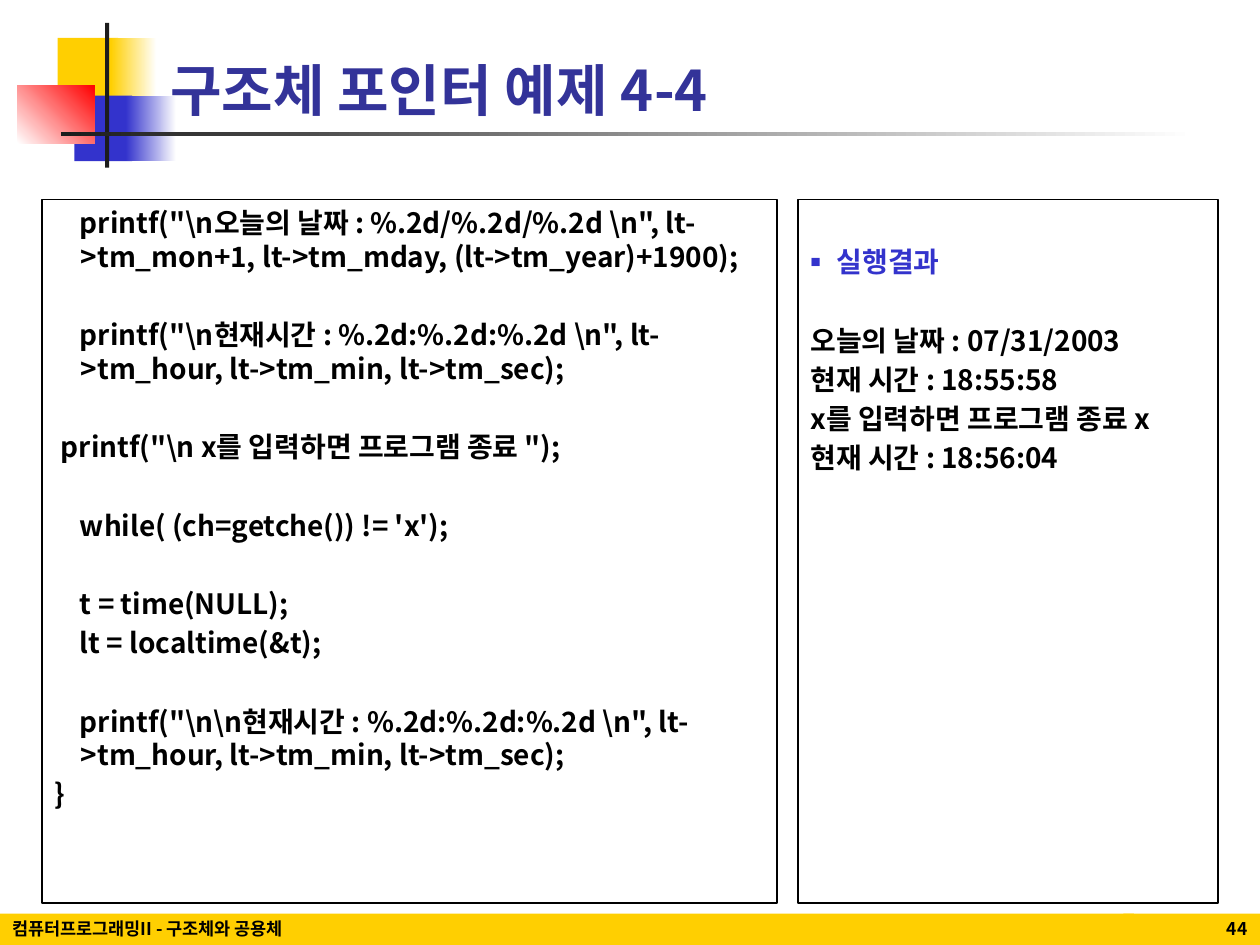
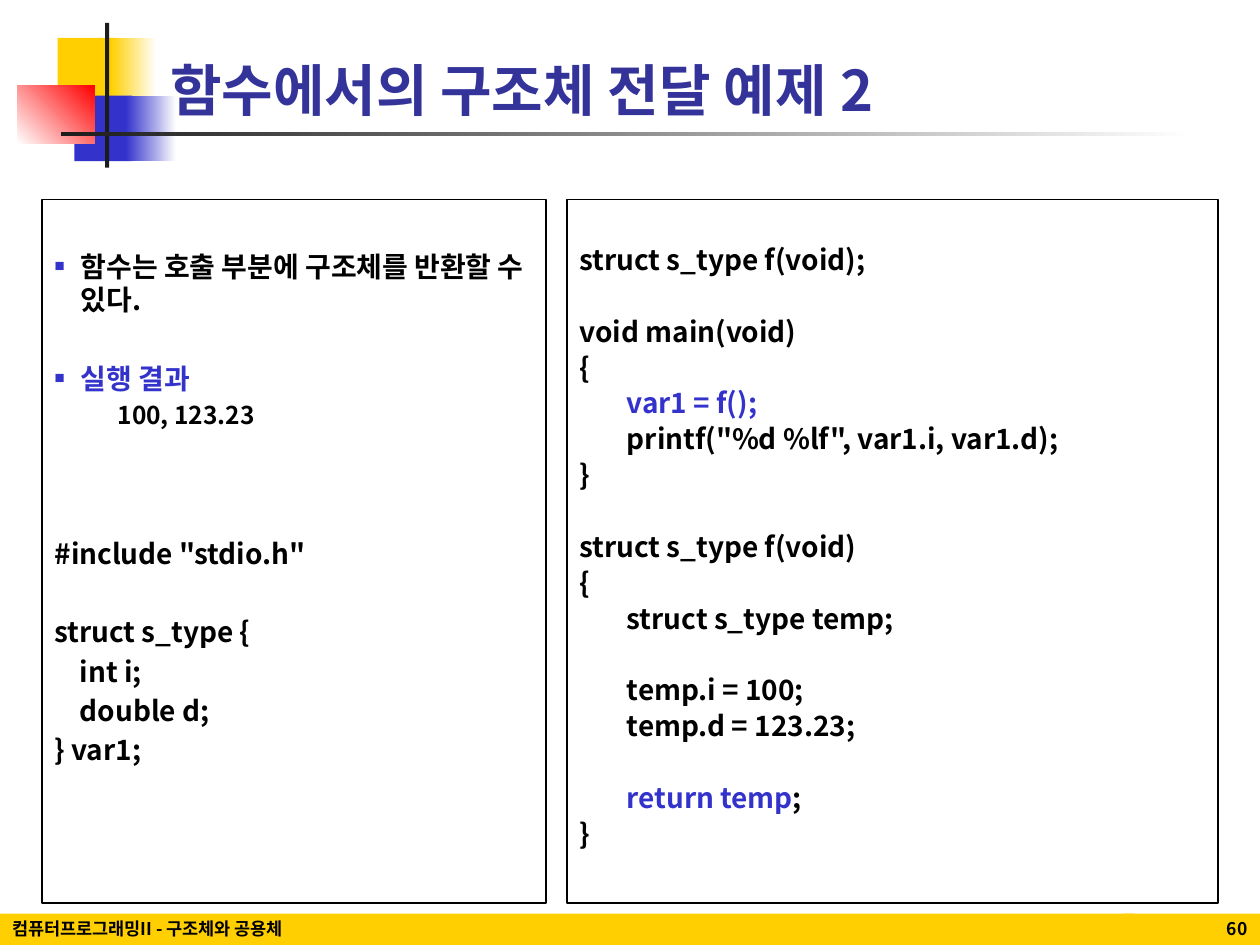
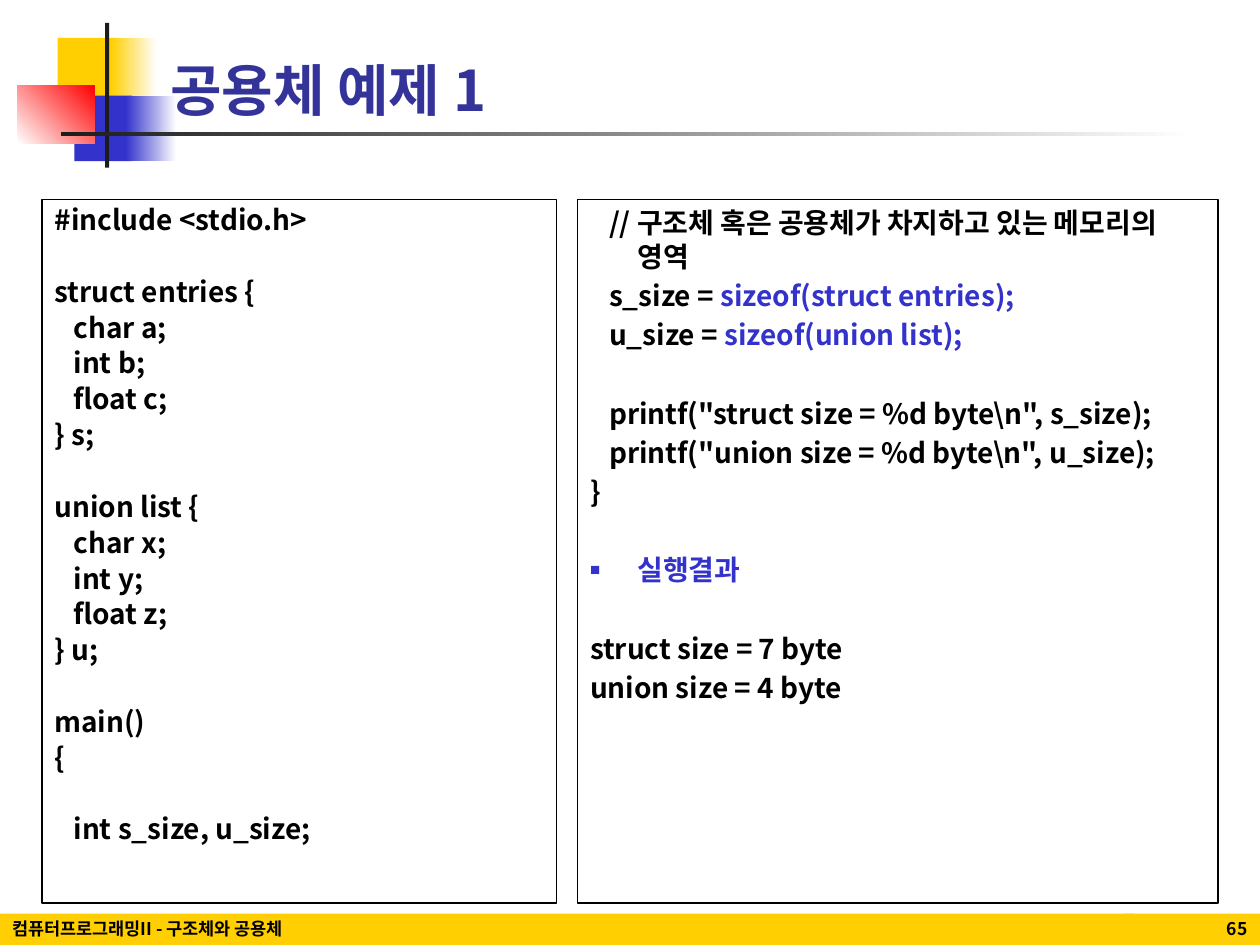
"""Build three lecture slides on C structures and unions."""
from dataclasses import dataclass

from lxml import etree
from pptx import Presentation
from pptx.dml.color import RGBColor
from pptx.enum import shapes, text
from pptx.oxml import ns
from pptx.util import Pt


@dataclass(frozen=True)
class Theme:
    font: str = "Noto Sans CJK KR"
    ink: RGBColor = RGBColor(0, 0, 0)
    white: RGBColor = RGBColor(255, 255, 255)
    heading: RGBColor = RGBColor(0x33, 0x33, 0x99)
    accent: RGBColor = RGBColor(0x33, 0x33, 0xCC)
    gold: RGBColor = RGBColor(0xFF, 0xCF, 0x01)
    red: RGBColor = RGBColor(0xFF, 0, 0)
    rule: RGBColor = RGBColor(0x1C, 0x1C, 0x1C)
    title_size: float = 32
    body_size: float = 16
    result_size: float = 14
    footer_size: float = 10
    line_height: float = 1.2
    space_before: float = 0.2


THEME = Theme()
BLANK_LINE = THEME.body_size * (THEME.line_height + THEME.space_before)
INSET = 3.6
PANEL_TOP, PANEL_HEIGHT = 114, 402
FOOTER_TOP, FOOTER_HEIGHT = 522, 18
FOOTER_LABEL = "컴퓨터프로그래밍II - 구조체와 공용체"


@dataclass(frozen=True)
class Block:
    left: float
    top: float
    width: float
    height: float
    start: RGBColor
    end: RGBColor | None = None
    angle: float = 0


@dataclass(frozen=True)
class Line:
    plain: str = ""
    accent: str = ""
    tail: str = ""
    gap: float = 0
    bullet: bool = False
    size: float = THEME.body_size
    margin: float | None = None
    hang: float | None = None


@dataclass(frozen=True)
class Panel:
    left: float
    width: float
    lines: tuple[Line, ...]
    hang: float = 15
    leading: float = 1
    lead: float = 0


@dataclass(frozen=True)
class Lesson:
    title: str
    number: int
    panels: tuple[Panel, Panel]


ORNAMENT = (
    Block(33, 21.6, 34.5, 37.4, THEME.gold),
    Block(63.4, 21.6, 26, 37.4, THEME.gold, THEME.white),
    Block(42.5, 54.7, 33, 37.4, THEME.accent),
    Block(72, 54.7, 28.8, 37.4, THEME.accent, THEME.white),
    Block(10, 48.7, 44, 33.3, THEME.white, THEME.red, 45),
    Block(60, 13, 2.4, 82.8, THEME.rule),
    Block(34.8, 75.5, 648, 2.2, THEME.rule, THEME.white),
)

LESSONS = (
    Lesson("구조체 포인터 예제 4-4", 44, (
        Panel(24, 420, (
            Line(r'    printf("\n오늘의 날짜 : %.2d/%.2d/%.2d \n", '
                 "lt->tm_mon+1, lt->tm_mday, (lt->tm_year)+1900);"),
            Line(r'    printf("\n현재시간 : %.2d:%.2d:%.2d \n", '
                 "lt->tm_hour, lt->tm_min, lt->tm_sec);", gap=1),
            Line(r' printf("\n x를 입력하면 프로그램 종료 ");', gap=1),
            Line("    while( (ch=getche()) != 'x');", gap=1),
            Line("    t = time(NULL);", gap=1),
            Line("    lt = localtime(&t);"),
            Line(r'    printf("\n\n현재시간 : %.2d:%.2d:%.2d \n", '
                 "lt->tm_hour, lt->tm_min, lt->tm_sec);", gap=1),
            Line("}"),
        )),
        Panel(456, 240, (
            Line(accent="실행결과", bullet=True),
            Line("오늘의 날짜 : 07/31/2003", gap=1),
            Line("현재 시간 : 18:55:58"),
            Line("x를 입력하면 프로그램 종료 x"),
            Line("현재 시간 : 18:56:04"),
        ), lead=BLANK_LINE),
    )),
    Lesson("함수에서의 구조체 전달 예제 2", 60, (
        Panel(24, 288, (
            Line("함수는 호출 부분에 구조체를 반환할 수 있다.", bullet=True),
            Line(accent="실행 결과", gap=1, bullet=True),
            Line("100, 123.23", size=THEME.result_size, margin=58.5, hang=22.5),
            Line('#include "stdio.h"', gap=2.6),
            Line("struct s_type {", gap=1),
            Line("    int i;"),
            Line("    double d;"),
            Line("} var1;"),
        ), lead=24.8),
        Panel(324, 372, (
            Line("struct s_type f(void);"),
            Line("void main(void)", gap=1),
            Line("{"),
            Line("\t", "var1 = f();"),
            Line('\tprintf("%d %lf", var1.i, var1.d);'),
            Line("}"),
            Line("struct s_type f(void)", gap=1),
            Line("{"),
            Line("\tstruct s_type temp;"),
            Line("\ttemp.i = 100;", gap=1),
            Line("\ttemp.d = 123.23;"),
            Line("\t", "return temp", ";", gap=1),
            Line("}"),
        ), hang=27, leading=0.9, lead=22.9),
    )),
    Lesson("공용체 예제 1", 65, (
        Panel(24, 294, (
            Line("#include <stdio.h>"),
            Line("struct entries {", gap=1),
            Line("   char a;"),
            Line("   int b;"),
            Line("   float c;"),
            Line("} s;"),
            Line("union list {", gap=1),
            Line("   char x;"),
            Line("   int y;"),
            Line("   float z;"),
            Line("} u;"),
            Line("main()", gap=1),
            Line("{"),
            Line("   int s_size, u_size;", gap=1),
        ), hang=27, leading=0.9),
        Panel(330, 366, (
            Line("   // 구조체 혹은 공용체가 차지하고 있는 메모리의 영역"),
            Line("   s_size = ", "sizeof(struct entries);"),
            Line("   u_size = ", "sizeof(union list);"),
            Line(r'   printf("struct size = %d byte\n", s_size);', gap=1),
            Line(r'   printf("union size = %d byte\n", u_size);'),
            Line("}"),
            Line(accent="실행결과", gap=1, bullet=True),
            Line("struct size = 7 byte", gap=1),
            Line("union size = 4 byte"),
        ), hang=27),
    )),
)


def write_span(para, content: str, *, size: float = THEME.body_size,
               color: RGBColor = THEME.ink, bold: bool = True) -> None:
    """Add one formatted run to a paragraph."""
    span = para.add_run()
    span.text = content
    span.font.size = Pt(size)
    span.font.bold = bold
    span.font.color.rgb = color
    span.font.name = THEME.font
    properties = span.font._element
    etree.SubElement(properties, ns.qn("a:ea"), typeface=THEME.font)


def write_label(frame, content: str, *, size: float, color: RGBColor = THEME.ink,
                align=text.PP_ALIGN.LEFT) -> None:
    """Write a single bottom-anchored line into a text frame."""
    frame.word_wrap = True
    frame.auto_size = text.MSO_AUTO_SIZE.NONE
    frame.vertical_anchor = text.MSO_ANCHOR.BOTTOM
    para = frame.paragraphs[0]
    para.alignment = align
    para.line_spacing = Pt(size * THEME.line_height)
    write_span(para, content, size=size, color=color)


def place(shape, left: float, top: float, width: float, height: float) -> None:
    """Move and size a shape in points."""
    shape.left, shape.top = Pt(left), Pt(top)
    shape.width, shape.height = Pt(width), Pt(height)


def draw_block(page, block: Block):
    """Draw a borderless rectangle with a plain or gradient fill."""
    box = page.shapes.add_shape(shapes.MSO_SHAPE.RECTANGLE, Pt(block.left),
                                Pt(block.top), Pt(block.width), Pt(block.height))
    box.shadow.inherit = False
    box.line.fill.background()
    if block.end is None:
        box.fill.solid()
        box.fill.fore_color.rgb = block.start
    else:
        box.fill.gradient()
        box.fill.gradient_angle = block.angle
        for stop, color in zip(box.fill.gradient_stops, (block.start, block.end)):
            stop.color.rgb = color
    return box


def set_bullet(para, margin: float, hang: float, bullet: bool) -> None:
    """Set the indents of a paragraph and its square bullet, if any."""
    properties = para._p.get_or_add_pPr()
    properties.set("marL", str(Pt(margin)))
    properties.set("indent", str(Pt(-hang)))
    if not bullet:
        etree.SubElement(properties, ns.qn("a:buNone"))
        return
    color = etree.SubElement(properties, ns.qn("a:buClr"))
    etree.SubElement(color, ns.qn("a:srgbClr"), val=str(THEME.accent))
    etree.SubElement(properties, ns.qn("a:buSzPct"), val="60000")
    etree.SubElement(properties, ns.qn("a:buChar"), char="■")


def fill_panel(box, panel: Panel) -> None:
    """Turn a body placeholder into an outlined panel of lines."""
    place(box, panel.left, PANEL_TOP, panel.width, PANEL_HEIGHT)
    box.line.color.rgb = THEME.ink
    box.line.width = Pt(0.75)
    frame = box.text_frame
    frame.word_wrap = True
    frame.auto_size = text.MSO_AUTO_SIZE.NONE
    frame.vertical_anchor = text.MSO_ANCHOR.TOP
    frame.margin_top = Pt(INSET + panel.lead)
    blank = THEME.body_size * (THEME.line_height * panel.leading + THEME.space_before)
    for index, line in enumerate(panel.lines):
        para = frame.add_paragraph() if index else frame.paragraphs[0]
        hang = line.hang or panel.hang
        set_bullet(para, line.margin or hang, hang, line.bullet)
        para.line_spacing = Pt(line.size * THEME.line_height * panel.leading)
        before = line.size * THEME.space_before + line.gap * blank
        para.space_before = Pt(before if index else 0)
        for content, color in ((line.plain, THEME.ink), (line.accent, THEME.accent),
                               (line.tail, THEME.ink)):
            if content:
                write_span(para, content, size=line.size, color=color)


def draw_footer(page, number: int) -> None:
    """Draw the footer band with the course name and page number."""
    for left, width, content, align in (
        (0, 648, FOOTER_LABEL, text.PP_ALIGN.LEFT),
        (642, 78, str(number), text.PP_ALIGN.RIGHT),
    ):
        box = draw_block(page, Block(left, FOOTER_TOP, width, FOOTER_HEIGHT, THEME.gold))
        write_label(box.text_frame, content, size=THEME.footer_size, align=align)


def add_ornament(layout, page) -> None:
    """Put the shared ornament on the layout."""
    for block in ORNAMENT:
        layout.shapes.element.append(draw_block(page, block).element)


def build_lesson(page, lesson: Lesson) -> None:
    """Fill one slide with its footer, title and panels."""
    draw_footer(page, lesson.number)
    title = page.shapes.title
    place(title, 90, 12, 606, 62)
    write_label(title.text_frame, lesson.title, size=THEME.title_size,
                color=THEME.heading)
    for index, panel in enumerate(lesson.panels, start=1):
        fill_panel(page.placeholders[index], panel)


def main() -> None:
    """Build and save the deck."""
    deck = Presentation()
    deck.slide_width, deck.slide_height = Pt(720), Pt(540)
    layout = deck.slide_layouts.get_by_name("Two Content")
    pages = [deck.slides.add_slide(layout) for _ in LESSONS]
    add_ornament(layout, pages[0])
    for page, lesson in zip(pages, LESSONS):
        build_lesson(page, lesson)
    deck.save("out.pptx")


if __name__ == "__main__":
    main()
